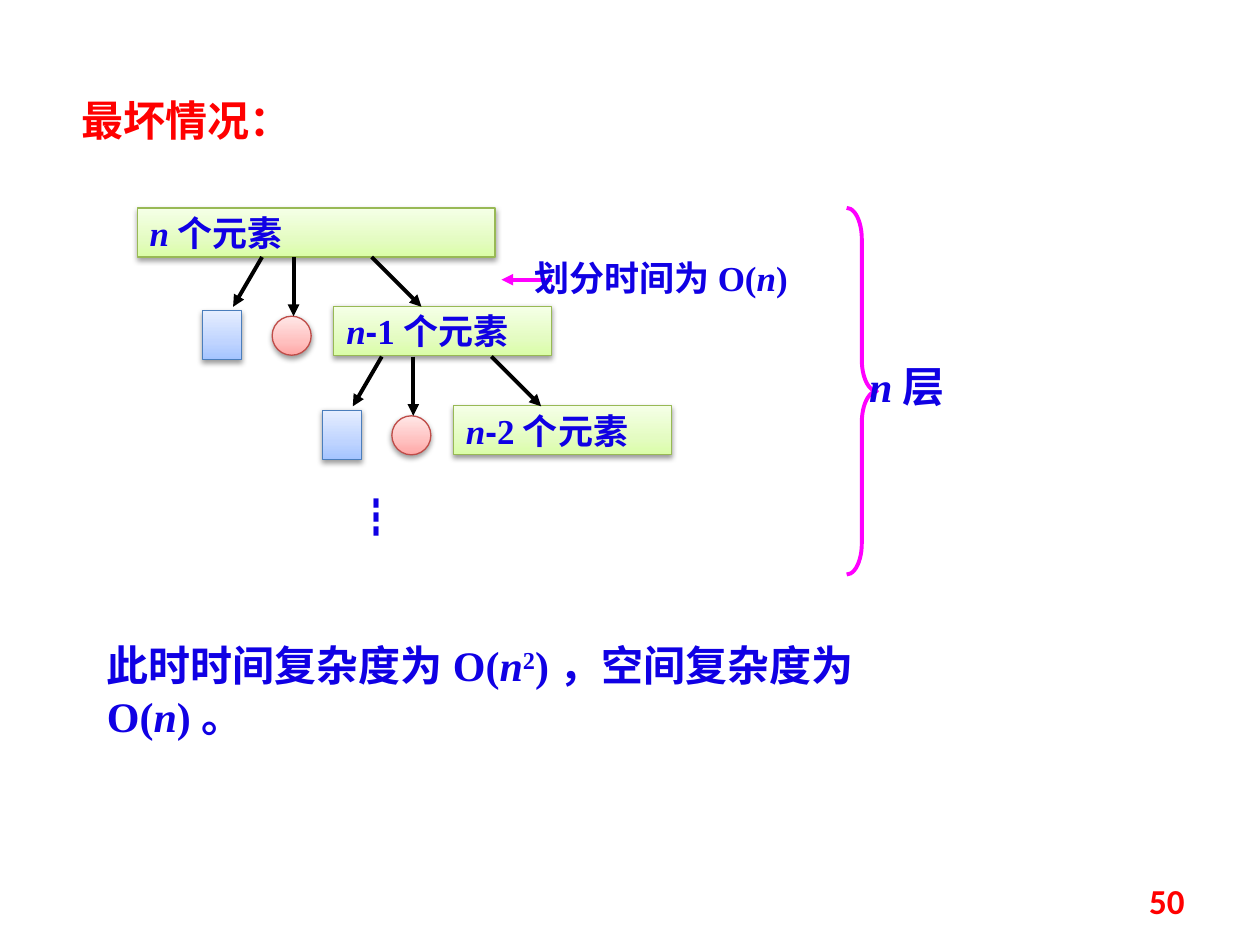
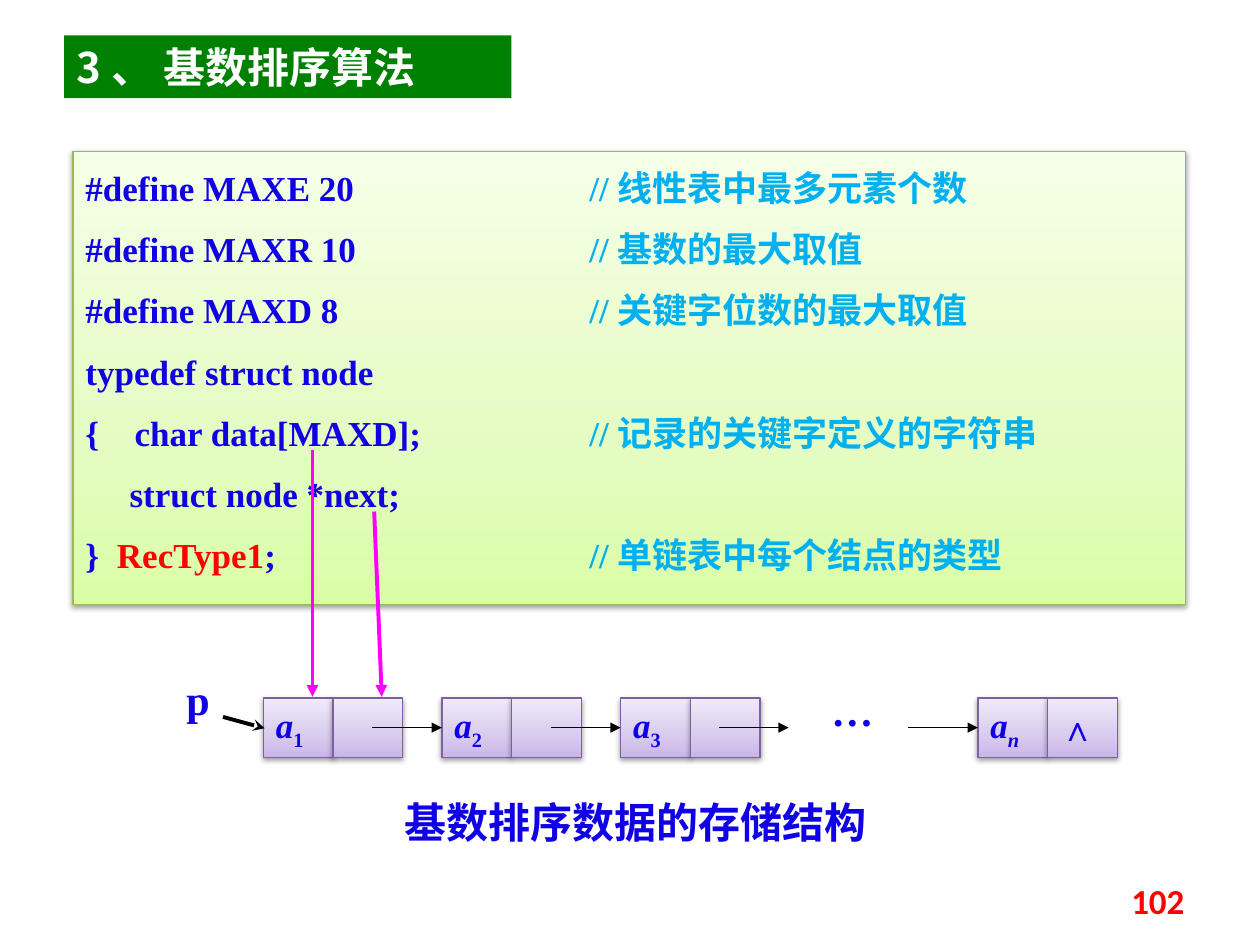
from copy import deepcopy

from lxml.etree import SubElement
from pptx import Presentation
from pptx.dml.color import RGBColor
from pptx.enum.shapes import MSO_CONNECTOR as Connector, MSO_SHAPE as Preset
from pptx.enum.text import MSO_ANCHOR as Anchor, MSO_AUTO_SIZE as AutoSize, PP_ALIGN as Align
from pptx.oxml.ns import qn
from pptx.util import Inches, Pt

# The slide is a grid of 100 columns and 75 rows of square cells
COLUMNS, ROWS = 100, 75
CELL = Inches(10) // COLUMNS

COLORS = {"text": "1000E4", "accent": "FF0000", "comment": "00B0F0",
          "pointer": "FF00FF", "black": "000000", "white": "FFFFFF", "band": "008000"}
# Gradient stops from bottom to top, then the outline
STYLES = {"green": ("DAFDA7", "E4FCC2", "F5FFE7", "98B955"),
          "red": ("FFA6A5", "FFC0BF", "FFE7E7", "BF4C48"),
          "blue": ("A4C4FF", "BFD4FF", "E6EEFF", "4B7EBC"),
          "purple": ("C9B5E8", "D8CBEE", "F0EAF9", "7D60A0")}
SERIF, CHINESE, SANS, NUMBER = "Times New Roman", "Noto Sans CJK SC", "Arial", "Calibri"
ITALIC = {"italic": True}


# ---- Shared helpers ----

def rgb(name):
    return RGBColor.from_string(COLORS.get(name, name))


def cells(*lengths):
    return [round(length * CELL) for length in lengths]


def write_runs(paragraph, runs, size=20, font=SERIF, color="text"):
    """Each run is a string or a pair of string and differing options."""
    for item in [runs] if isinstance(runs, str) else runs:
        text, options = (item, {}) if isinstance(item, str) else item
        run = paragraph.add_run()
        run.text = text
        run.font.size = Pt(size)
        run.font.bold = True
        run.font.italic = options.get("italic", False)
        run.font.name = options.get("font", font)
        run.font.color.rgb = rgb(options.get("color", color))
        if "baseline" in options:
            run.font._element.set("baseline", str(options["baseline"] * 1000))


def add_text(slide, box, runs, align=Align.LEFT, anchor=Anchor.TOP, **font):
    frame = slide.shapes.add_textbox(*cells(*box)).text_frame
    frame.word_wrap = True
    frame.vertical_anchor = anchor
    frame.paragraphs[0].alignment = align
    write_runs(frame.paragraphs[0], runs, **font)


def add_title(slide, box, text, color, band=None):
    title = slide.shapes.title
    title.left, title.top, title.width, title.height = cells(*box)
    if band:
        title.fill.solid()
        title.fill.fore_color.rgb = rgb(band)
    frame = title.text_frame
    frame.auto_size = AutoSize.NONE
    frame.vertical_anchor = Anchor.TOP
    frame.paragraphs[0].alignment = Align.LEFT
    write_runs(frame.paragraphs[0], text, size=24, font=CHINESE, color=color)


def add_card(slide, box, style, runs=(), preset=Preset.RECTANGLE):
    """A shape with a three-stop gradient and a soft shadow below."""
    shape = slide.shapes.add_shape(preset, *cells(*box))
    *shades, outline = STYLES[style]
    shape.fill.gradient()
    shape.fill.gradient_angle = 90
    properties = shape._element.spPr
    stop_list = properties.find(".//" + qn("a:gsLst"))
    stop_list.append(deepcopy(stop_list[0]))
    for stop, position, shade in zip(shape.fill.gradient_stops, (0, 0.35, 1), shades):
        stop.position = position
        stop.color.rgb = rgb(shade)
    shape.line.color.rgb = rgb(outline)
    shape.line.width = Pt(0.75)
    shape.shadow.inherit = False
    shadow = SubElement(properties.find(qn("a:effectLst")), qn("a:outerShdw"),
                        blurRad=str(Pt(3.1)), dist=str(Pt(1.6)), dir="5400000", rotWithShape="0")
    shade = SubElement(shadow, qn("a:srgbClr"), val=COLORS["black"])
    SubElement(shade, qn("a:alpha"), val="38000")
    frame = shape.text_frame
    frame.word_wrap = True
    frame.vertical_anchor = Anchor.MIDDLE
    frame.paragraphs[0].alignment = Align.LEFT
    write_runs(frame.paragraphs[0], runs)
    return shape


def add_arrow(slide, start, end, color="black", width=2.25, head="triangle"):
    arrow = slide.shapes.add_connector(Connector.STRAIGHT, *cells(*start, *end))
    arrow.line.color.rgb = rgb(color)
    arrow.line.width = Pt(width)
    SubElement(arrow.line._get_or_add_ln(), qn("a:tailEnd"), type=head)
    SubElement(arrow._element.spPr, qn("a:effectLst"))


def add_slide_number(slide, number):
    add_text(slide, (71.7, 69.5, 23.3, 4), number, Align.RIGHT, Anchor.MIDDLE,
             font=NUMBER, color="accent")


# ---- Slide: worst case ----

def add_split(slide, left, top, count):
    """One partition step: smaller part, pivot and the remaining elements."""
    add_card(slide, (left, top + 4.25, 3.1, 3.9), "blue")
    add_card(slide, (left + 5.5, top + 4.7, 3.1, 3.1), "red", preset=Preset.OVAL)
    add_card(slide, (left + 10.4, top + 3.9, 17.3, 3.9), "green",
             [("n", ITALIC), ("-", {"font": SANS}), count + "个元素"])
    for start, end, drop in ((4.7, 2.4, 3.95), (7.2, 7.2, 4.7), (13.4, 17.35, 3.95)):
        add_arrow(slide, (left + start, top), (left + end, top + drop))


def add_recursion_tree(slide, left, top):
    add_card(slide, (left, top, 28.4, 3.9), "green", [("n", ITALIC), "个元素"])
    for level, count in enumerate("12"):
        add_split(slide, left + 5.2 + 9.5 * level, top + 3.9 + 7.9 * level, count)
    add_text(slide, (left + 16.3, top + 22, 14.9, 5), "┇", size=24, font=CHINESE)
    # Cost of one partition
    add_arrow(slide, (left + 32.9, top + 5.7), (left + 28.9, top + 5.7), "pointer")
    add_text(slide, (left + 30.5, top + 3.4, 26, 4.3),
             ["划分时间为O(", ("n", ITALIC), ")"])


def add_depth_brace(slide, left, top, width, height):
    brace = slide.shapes.add_shape(Preset.RIGHT_BRACE, *cells(left, top, width, height))
    brace.adjustments[0] = 1.03
    brace.fill.background()
    brace.line.color.rgb = rgb("pointer")
    brace.line.width = Pt(2.25)
    brace.shadow.inherit = False
    add_text(slide, (left + 0.8, top + 11.6, 11.8, 5), [("n", ITALIC), "层"], size=24)


def build_worst_case(slide):
    add_title(slide, (5.5, 7, 21.4, 5), "最坏情况：", "accent")
    add_recursion_tree(slide, 10.9, 16.5)
    add_depth_brace(slide, 67.2, 16.5, 2.4, 29.1)
    add_text(slide, (7.5, 50.3, 70.1, 5),
             ["此时时间复杂度为O(", ("n", ITALIC), ("2", {"baseline": 30}),
              ")，空间复杂度为O(", ("n", ITALIC), ")。"], size=24)
    add_slide_number(slide, "50")


# ---- Slide: radix sort ----

COMMENT_TAB = 4
# Each line: code runs, comment, indent tab in inches
CODE = [(["#define MAXE 20"], "线性表中最多元素个数", None),
        (["#define MAXR 10"], "基数的最大取值", None),
        (["#define MAXD 8"], "关键字位数的最大取值", None),
        (["typedef struct node"], "", None),
        (["{\tchar data[MAXD];"], "记录的关键字定义的字符串", 0.39),
        (["\tstruct node *next;"], "", 0.35),
        (["}\t", ("RecType1", {"color": "accent"}), ";"], "单链表中每个结点的类型", 0.25)]


def add_code_panel(slide, box):
    frame = add_card(slide, box, "green").text_frame
    frame.vertical_anchor = Anchor.TOP
    frame.margin_top = frame.margin_bottom = Inches(0.12)
    for index, (code, comment, indent) in enumerate(CODE):
        paragraph = frame.add_paragraph() if index else frame.paragraphs[0]
        paragraph.alignment = Align.JUSTIFY
        if index:
            paragraph.space_before = Pt(11)
        tabs = SubElement(paragraph._p.get_or_add_pPr(), qn("a:tabLst"))
        for position in filter(None, (indent, COMMENT_TAB)):
            SubElement(tabs, qn("a:tab"), pos=str(Inches(position)), algn="l")
        note = ["\t", ("//" + comment, {"color": "comment"})] if comment else []
        write_runs(paragraph, code + note)


def add_linked_list(slide, left, top):
    pitch, width, height = 14.18, 5.53, 4.7
    middle = top + height / 2
    # Nodes: the third gap is left open for the ellipsis
    for place, subscript in ((0, "1"), (1, "2"), (2, "3"), (4, "n")):
        node = left + place * pitch
        last = subscript == "n"
        label = [("a", ITALIC), (subscript, {"baseline": -25, "italic": last})]
        add_card(slide, (node, top, width, height), "purple", label)
        add_card(slide, (node + width, top, width, height), "purple", "∧" if last else ())
    # Links
    for end in (pitch, 2 * pitch, 41.7, 4 * pitch):
        add_arrow(slide, (left + end - 5.55, middle), (left + end, middle), width=0.75)
    add_text(slide, (left + 44.1, top - 1.6, 4.7, 5), "…", size=24)
    # Head pointer
    add_text(slide, (left - 7.1, top - 2.4, 3.9, 5), "p", size=24)
    add_arrow(slide, (left - 3.2, top + 1.5), (left + 0.1, top + 2.4), head="stealth")


def build_radix_sort(slide):
    add_title(slide, (5.1, 2.8, 35.5, 5), "3、 基数排序算法", "white", "band")
    add_code_panel(slide, (5.8, 12, 88.3, 36))
    add_linked_list(slide, 20.9, 55.4)
    add_text(slide, (31.1, 62.7, 42.5, 5), "基数排序数据的存储结构", size=24, font=CHINESE)
    # From the struct fields to the parts of the first node
    add_arrow(slide, (24.8, 35.7), (24.8, 55.3), "pointer")
    add_arrow(slide, (29.7, 40.6), (30.3, 55.3), "pointer")
    add_slide_number(slide, "102")


presentation = Presentation()
presentation.slide_width, presentation.slide_height = cells(COLUMNS, ROWS)
title_only = presentation.slide_layouts[5]
for build in (build_worst_case, build_radix_sort):
    build(presentation.slides.add_slide(title_only))
presentation.save("out.pptx")
